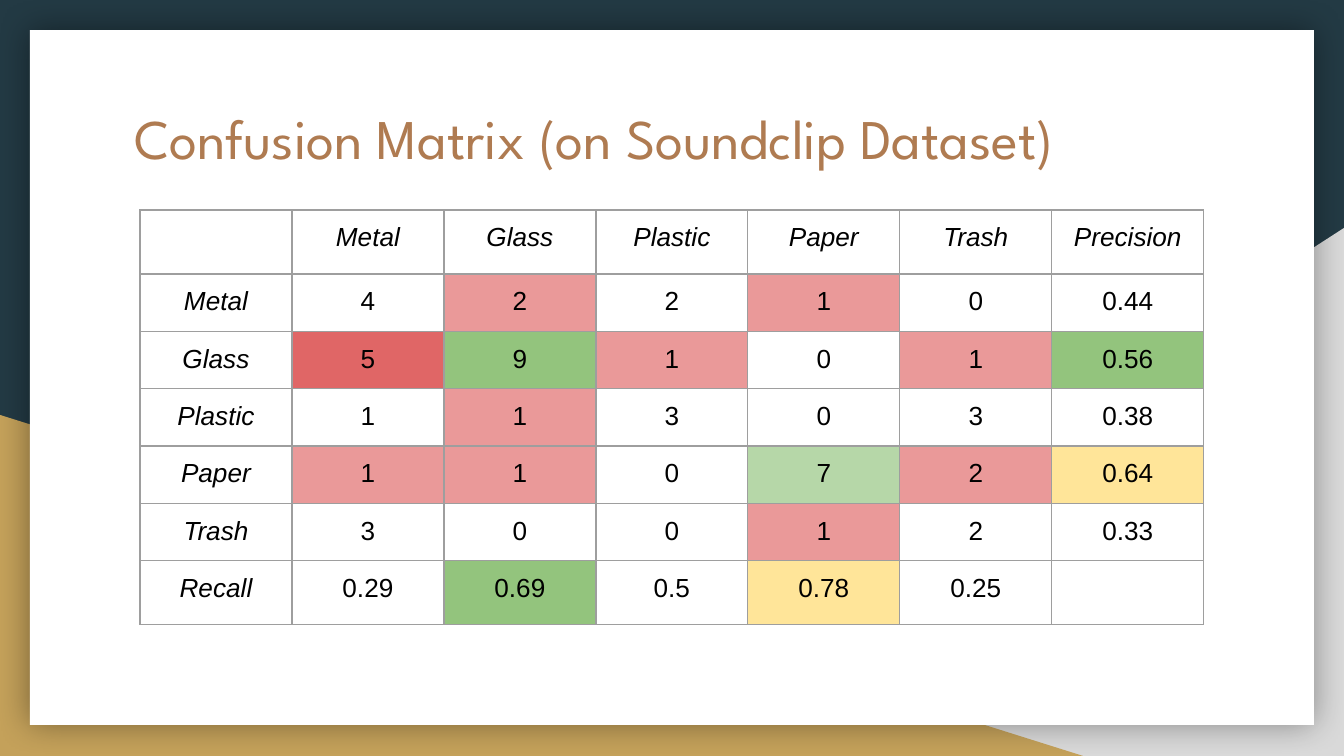
"""Build a slide with a colour-coded confusion matrix."""
from typing import NamedTuple

from lxml import etree
from pptx import Presentation
from pptx import util as u
from pptx.dml.color import RGBColor
from pptx.enum import shapes, text
from pptx.oxml import ns

SCALE = 914400 / 134.4
HUES = {
    "navy": "233A44", "grey": "D9D9D9", "gold": "C4A15A", "white": "FFFFFF",
    "brown": "AF7B51", "black": "000000", "line": "9E9E9E", "rose": "EA9999",
    "red": "E06666", "green": "93C47D", "mint": "B6D7A8", "cream": "FFE599",
}
KINDS = ["Metal", "Glass", "Plastic", "Paper", "Trash"]
HEAD = ["", *KINDS, "Precision"]
SIDE = [*KINDS, "Recall"]
SCORES = [
    ["4", "2 rose", "2", "1 rose", "0", "0.44"],
    ["5 red", "9 green", "1 rose", "0", "1 rose", "0.56 green"],
    ["1", "1 rose", "3", "0", "3", "0.38"],
    ["1 rose", "1 rose", "0", "7 mint", "2 rose", "0.64 cream"],
    ["3", "0", "0", "1 rose", "2", "0.33"],
    ["0.29", "0.69 green", "0.5", "0.78 cream", "0.25", ""],
]
COL, ROW, TALL, PAD = 152, 56, 64, 13


class Panel(NamedTuple):
    """A filled backdrop shape, measured in px."""
    kind: shapes.MSO_SHAPE
    left: int
    top: int
    width: int
    height: int
    hue: str
    flip: bool = False
    shade: bool = False


PANELS = [
    Panel(shapes.MSO_SHAPE.RIGHT_TRIANGLE, 527, 228, 817, 528, "grey", flip=True),
    Panel(shapes.MSO_SHAPE.RIGHT_TRIANGLE, 0, 415, 1083, 341, "gold"),
    Panel(shapes.MSO_SHAPE.RECTANGLE, 30, 30, 1284, 695, "white", shade=True),
]


def px(size: int) -> u.Emu:
    """Turn px into EMU."""
    return u.Emu(round(size * SCALE))


def tint(hue: str) -> RGBColor:
    """Look up a named colour."""
    return RGBColor.from_string(HUES[hue])


def style(para, face: str, size: int, hue: str, slant: bool = False) -> None:
    """Set the font of a whole paragraph."""
    font = para.font
    font.name, font.size, font.italic = face, u.Pt(size), slant
    font.color.rgb = tint(hue)


def child(node, tag: str, **attrs: str):
    """Append a DrawingML element."""
    return etree.SubElement(node, ns.qn(tag), attrs)


def draw_panel(slide, panel: Panel) -> None:
    """Draw one backdrop shape."""
    shape = slide.shapes.add_shape(panel.kind, *map(px, panel[1:5]))
    shape.shadow.inherit = False
    shape.fill.solid()
    shape.fill.fore_color.rgb = tint(panel.hue)
    shape.line.fill.background()
    props = shape._element.spPr
    if panel.flip:
        props.find(ns.qn("a:xfrm")).set("flipH", "1")
    if panel.shade:
        glow = child(props.find(ns.qn("a:effectLst")), "a:outerShdw",
                     blurRad=str(u.Pt(18)), dist="0", algn="ctr", rotWithShape="0")
        child(child(glow, "a:srgbClr", val=HUES["black"]), "a:alpha", val="40000")


def draw_title(slide, words: str) -> None:
    """Write the slide title."""
    frame = slide.shapes.add_textbox(px(121), px(91), px(1103), px(140)).text_frame
    frame.word_wrap = True
    frame.vertical_anchor = text.MSO_ANCHOR.TOP
    frame.margin_left = frame.margin_right = px(PAD)
    frame.margin_top = frame.margin_bottom = px(PAD)
    para = frame.paragraphs[0]
    para.text = words
    style(para, "League Spartan", 30, "brown")


def fill_cell(cell, words: str, hue: str, slant: bool) -> None:
    """Write, fill and outline one table cell."""
    cell.margin_left = cell.margin_right = px(PAD)
    cell.margin_top = cell.margin_bottom = px(PAD)
    para = cell.text_frame.paragraphs[0]
    para.text = words
    para.alignment = text.PP_ALIGN.CENTER
    style(para, "Arial", 14, "black", slant)
    props = cell._tc.get_or_add_tcPr()
    for side in ("a:lnL", "a:lnR", "a:lnT", "a:lnB"):
        edge = child(props, side, w=str(u.Pt(0.75)))
        child(child(edge, "a:solidFill"), "a:srgbClr", val=HUES["line"])
    if hue:
        cell.fill.solid()
        cell.fill.fore_color.rgb = tint(hue)
    else:
        cell.fill.background()


def draw_matrix(slide) -> None:
    """Draw the confusion matrix."""
    grid = [HEAD] + [[name, *row] for name, row in zip(SIDE, SCORES)]
    highs = [TALL, *[ROW] * len(KINDS), TALL]
    table = slide.shapes.add_table(len(grid), len(HEAD), px(140), px(210),
                                   px(COL * len(HEAD)), px(sum(highs))).table
    table.first_row = table.horz_banding = False
    for col in table.columns:
        col.width = px(COL)
    for y, row in enumerate(grid):
        table.rows[y].height = px(highs[y])
        for x, entry in enumerate(row):
            words, _, hue = entry.partition(" ")
            fill_cell(table.cell(y, x), words, hue, slant=x == 0 or y == 0)


def main() -> None:
    """Build and save the slide."""
    deck = Presentation()
    deck.slide_width, deck.slide_height = px(1344), px(756)
    slide = deck.slides.add_slide(deck.slide_layouts[6])
    slide.background.fill.solid()
    slide.background.fill.fore_color.rgb = tint("navy")
    for panel in PANELS:
        draw_panel(slide, panel)
    draw_title(slide, "Confusion Matrix (on Soundclip Dataset)")
    draw_matrix(slide)
    deck.save("out.pptx")


if __name__ == "__main__":
    main()
